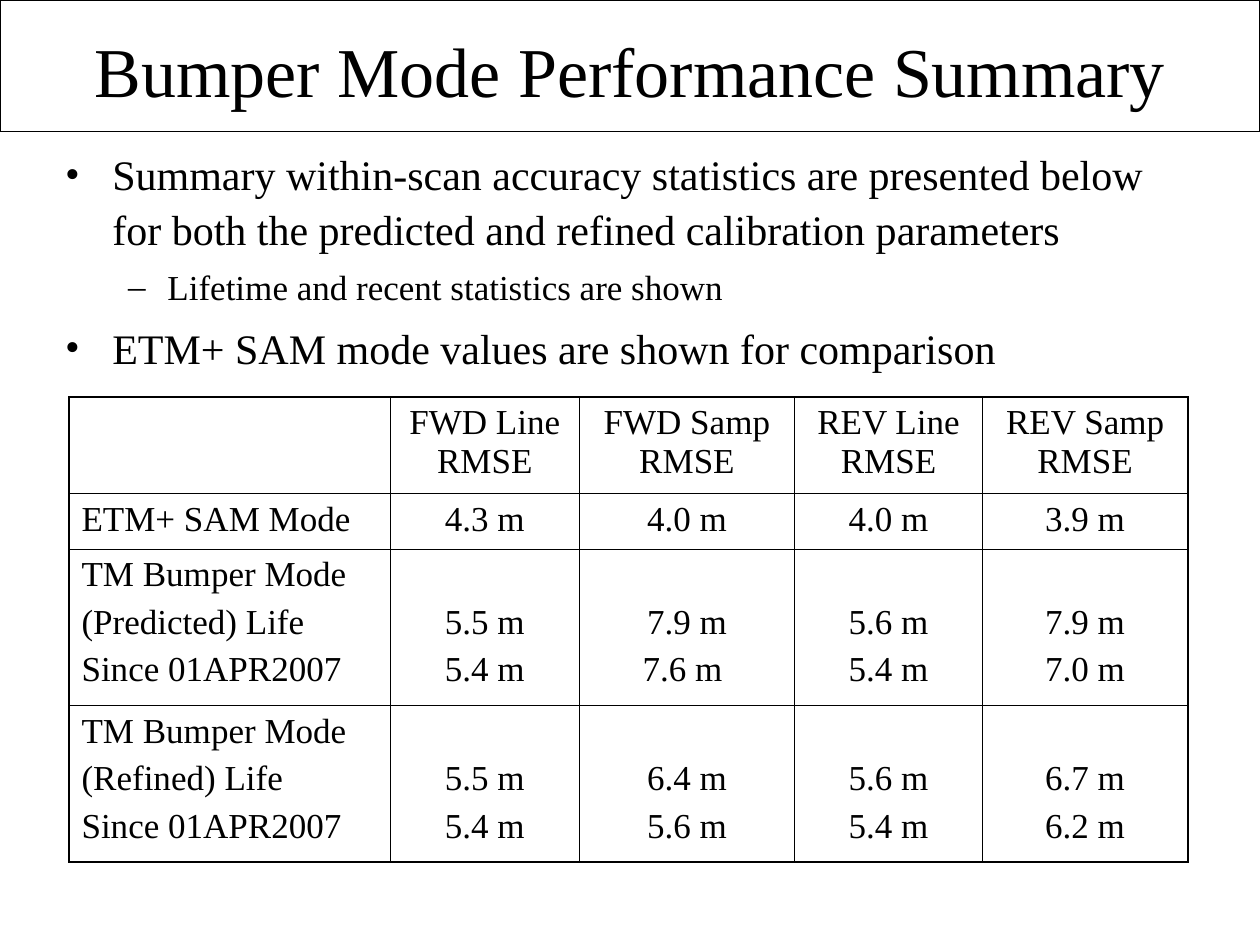
from lxml.etree import SubElement
from pptx import Presentation
from pptx.dml.color import RGBColor
from pptx.enum.shapes import MSO_SHAPE as Shape
from pptx.enum.text import MSO_ANCHOR as Anchor, MSO_AUTO_SIZE as AutoSize, PP_ALIGN as Align
from pptx.oxml import parse_xml
from pptx.oxml.ns import nsdecls, qn
from pptx.util import Pt

FONT = "Times New Roman"
BLACK, WHITE, SHADOW = "000000", "FFFFFF", "808080"
TITLE = "Bumper Mode Performance Summary"
BULLETS = [
    (0, "Summary within-scan accuracy statistics are presented below "
        "for both the predicted and refined calibration parameters"),
    (1, "Lifetime and recent statistics are shown"),
    (0, "ETM+ SAM mode values are shown for comparison"),
]
LEVELS = [
    dict(mark="•", size=24, left=27, hang=27, before=6),
    dict(mark="–", size=20, left=58.5, hang=22.5, before=5),
]
ROWS = [
    [[], ["FWD Line RMSE"], ["FWD Samp RMSE"], ["REV Line RMSE"], ["REV Samp RMSE"]],
    [["ETM+ SAM Mode"], ["4.3 m"], ["4.0 m"], ["4.0 m"], ["3.9 m"]],
    [["TM Bumper Mode", "(Predicted) Life", "Since 01APR2007"],
     ["5.5 m", "5.4 m"], ["7.9 m", "7.6 m "], ["5.6 m", "5.4 m"], ["7.9 m", "7.0 m"]],
    [["TM Bumper Mode", "(Refined) Life", "Since 01APR2007"],
     ["5.5 m", "5.4 m"], ["6.4 m", "5.6 m"], ["5.6 m", "5.4 m"], ["6.7 m", "6.2 m"]],
]
COLUMN_WIDTHS = [183.6, 108, 123.1, 107.3, 117.4]
ROW_HEIGHTS = [55.4, 31.6, 89.4, 89.4]
TABLE_LEFT, TABLE_TOP = 39.4, 226.8
CELL_SIZE, CELL_GAP, LINE_HEIGHT = 20, 5, 22.1
INSET_X, INSET_Y = 7.2, 3.6
OUTER, INNER = 1.08, 0.45


def color(value):
    return RGBColor.from_string(value)


def write(paragraph, text, size):
    run = paragraph.add_run()
    run.text = text
    run.font.size = Pt(size)
    run.font.name = FONT
    run.font.color.rgb = color(BLACK)
    return run


def place(holder, left, top, width, height, anchor):
    holder.left, holder.top, holder.width, holder.height = map(Pt, (left, top, width, height))
    frame = holder.text_frame
    frame.word_wrap = True
    frame.auto_size = AutoSize.NONE
    frame.vertical_anchor = anchor
    frame.margin_left = frame.margin_right = Pt(INSET_X)
    frame.margin_top = frame.margin_bottom = Pt(INSET_Y)
    return frame


def add_text_shadow(run):
    fill = run.font._element.find(qn("a:solidFill"))
    fill.addnext(parse_xml(
        f'<a:effectLst {nsdecls("a")}><a:outerShdw dist="25400" dir="2700000">'
        f'<a:srgbClr val="{SHADOW}"/></a:outerShdw></a:effectLst>'))


def set_bullet(paragraph, level):
    properties = paragraph._p.get_or_add_pPr()
    properties.set("marL", str(Pt(level["left"])))
    properties.set("indent", str(-Pt(level["hang"])))
    SubElement(SubElement(properties, qn("a:buClr")), qn("a:srgbClr")).set("val", BLACK)
    SubElement(properties, qn("a:buFont")).set("typeface", FONT)
    SubElement(properties, qn("a:buChar")).set("char", level["mark"])


def set_borders(cell, widths):
    properties = cell._tc.get_or_add_tcPr()
    for side, width in widths.items():
        line = SubElement(properties, qn(f"a:ln{side}"), w=str(Pt(width)))
        SubElement(SubElement(line, qn("a:solidFill")), qn("a:srgbClr")).set("val", BLACK)


def fill_cell(cell, lines, is_label, skipped_lines):
    cell.margin_left = cell.margin_right = Pt(INSET_X)
    cell.margin_top = Pt(INSET_Y + skipped_lines * (LINE_HEIGHT + CELL_GAP))
    cell.margin_bottom = Pt(INSET_Y)
    cell.vertical_anchor = Anchor.TOP
    for i, line in enumerate(lines):
        paragraph = cell.text_frame.paragraphs[0] if i == 0 else cell.text_frame.add_paragraph()
        paragraph.alignment = Align.LEFT if is_label else Align.CENTER
        paragraph.space_before = Pt(CELL_GAP if i else 0)
        write(paragraph, line, CELL_SIZE)


def add_statistics(slide):
    table = slide.shapes.add_table(
        len(ROWS), len(COLUMN_WIDTHS), Pt(TABLE_LEFT), Pt(TABLE_TOP),
        Pt(sum(COLUMN_WIDTHS)), Pt(sum(ROW_HEIGHTS))).table
    table.first_row = table.horz_banding = False
    for column, width in zip(table.columns, COLUMN_WIDTHS):
        column.width = Pt(width)
    last_row, last_column = len(ROWS) - 1, len(COLUMN_WIDTHS) - 1
    for r, (row, height) in enumerate(zip(ROWS, ROW_HEIGHTS)):
        table.rows[r].height = Pt(height)
        for c, lines in enumerate(row):
            cell = table.cell(r, c)
            skipped = max(0, len(row[0]) - len(lines))
            fill_cell(cell, lines, c == 0, skipped)
            set_borders(cell, {
                "L": OUTER if c == 0 else INNER,
                "R": OUTER if c == last_column else INNER,
                "T": OUTER if r == 0 else INNER,
                "B": OUTER if r == last_row else INNER,
            })
            cell.fill.background()


def main():
    deck = Presentation()
    deck.slide_width, deck.slide_height = Pt(720), Pt(540)
    slide = deck.slides.add_slide(deck.slide_layouts[1])
    title, body = slide.placeholders

    banner = slide.shapes.add_shape(Shape.RECTANGLE, 0, 0, Pt(720), Pt(75))
    banner.shadow.inherit = False
    banner.fill.solid()
    banner.fill.fore_color.rgb = color(WHITE)
    banner.line.color.rgb = color(BLACK)
    banner.line.width = Pt(0.75)
    title.element.addprevious(banner.element)

    heading = place(title, 30, 13.7, 660, 52.6, Anchor.MIDDLE).paragraphs[0]
    heading.alignment = Align.CENTER
    add_text_shadow(write(heading, TITLE, 40))

    points = place(body, 30, 79.2, 660, 390, Anchor.TOP)
    for i, (depth, text) in enumerate(BULLETS):
        level = LEVELS[depth]
        point = points.paragraphs[0] if i == 0 else points.add_paragraph()
        point.level = depth
        set_bullet(point, level)
        point.line_spacing = 1.08
        point.space_before = Pt(level["before"] if i else 0)
        write(point, text, level["size"])

    add_statistics(slide)
    deck.save("out.pptx")


if __name__ == "__main__":
    main()
